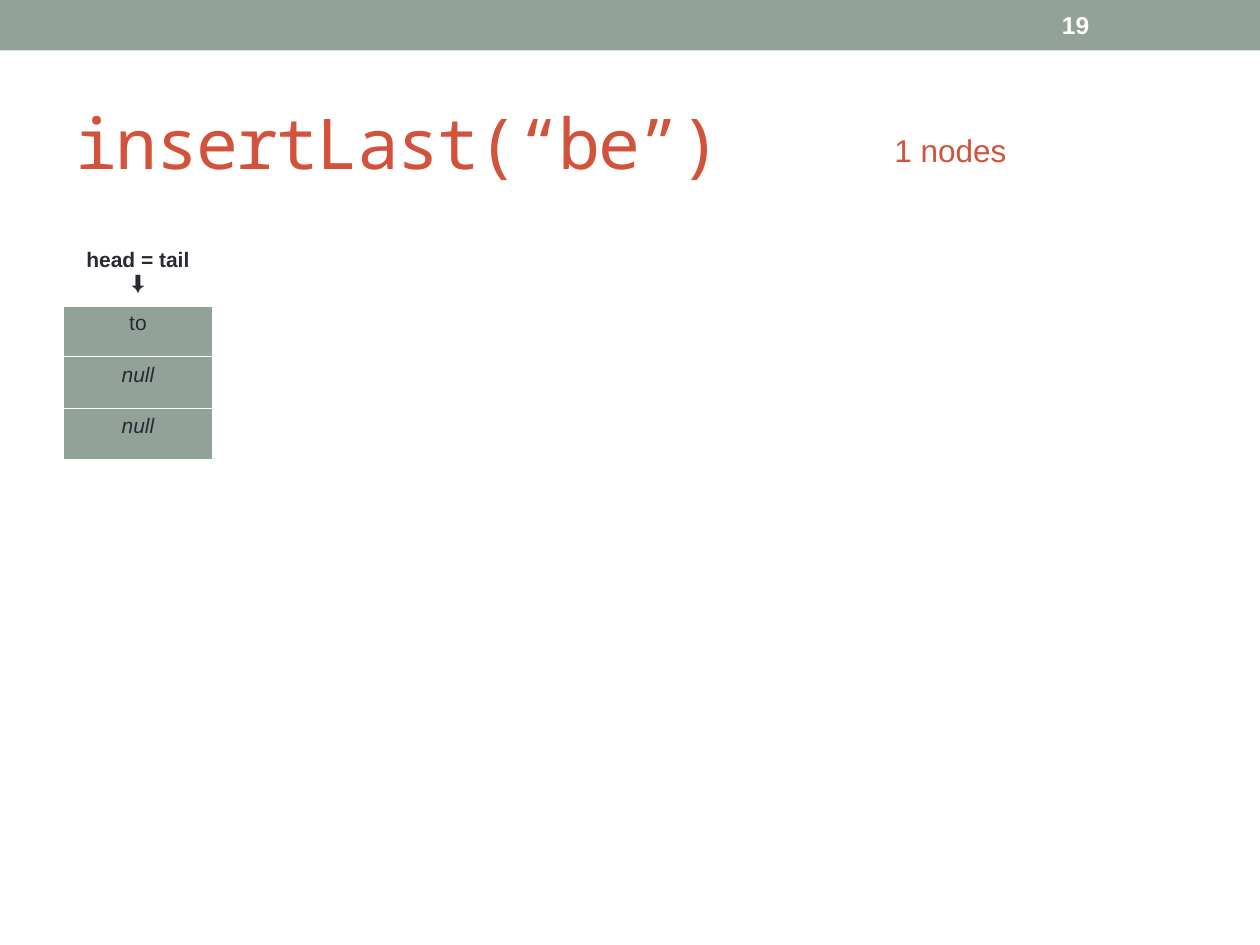
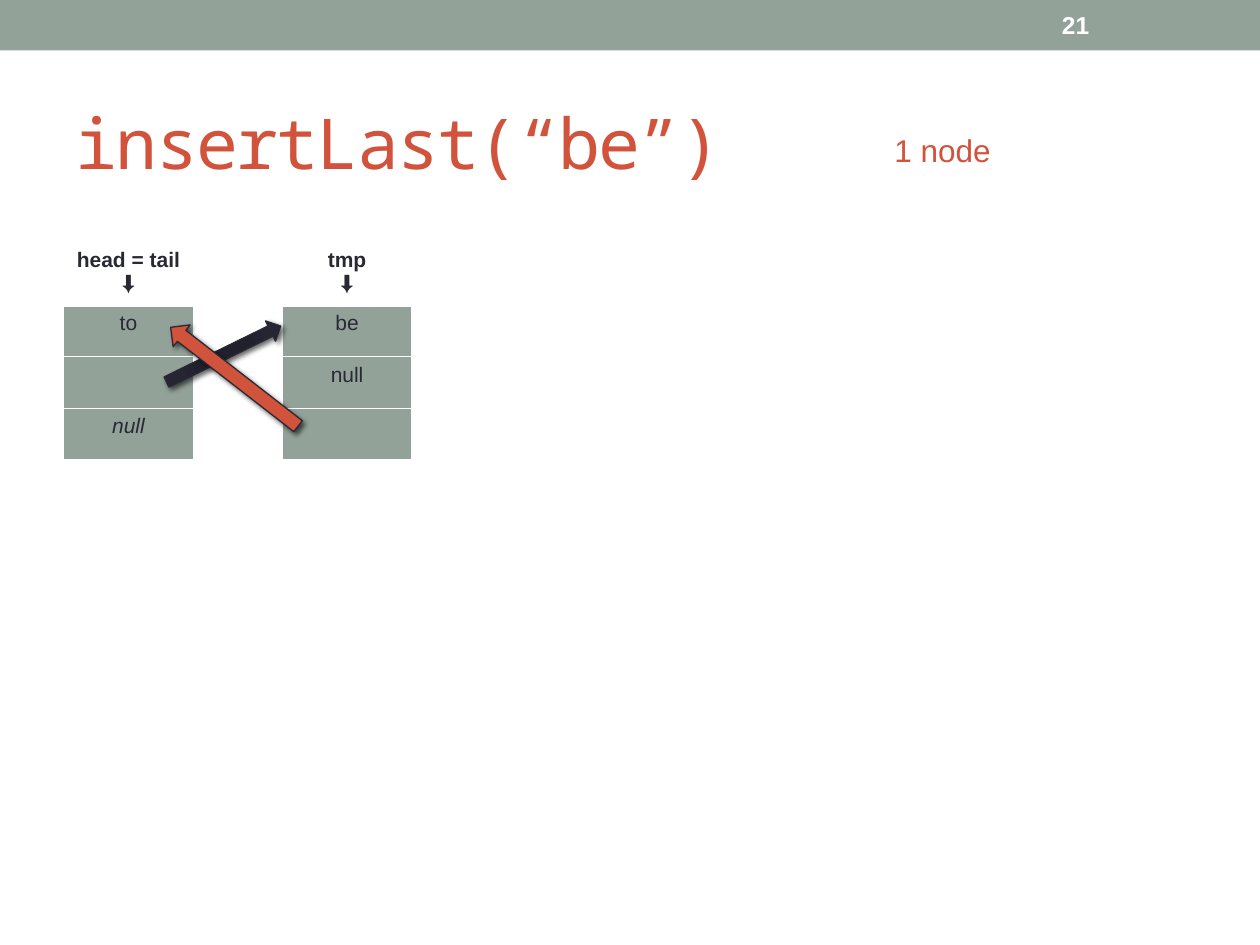
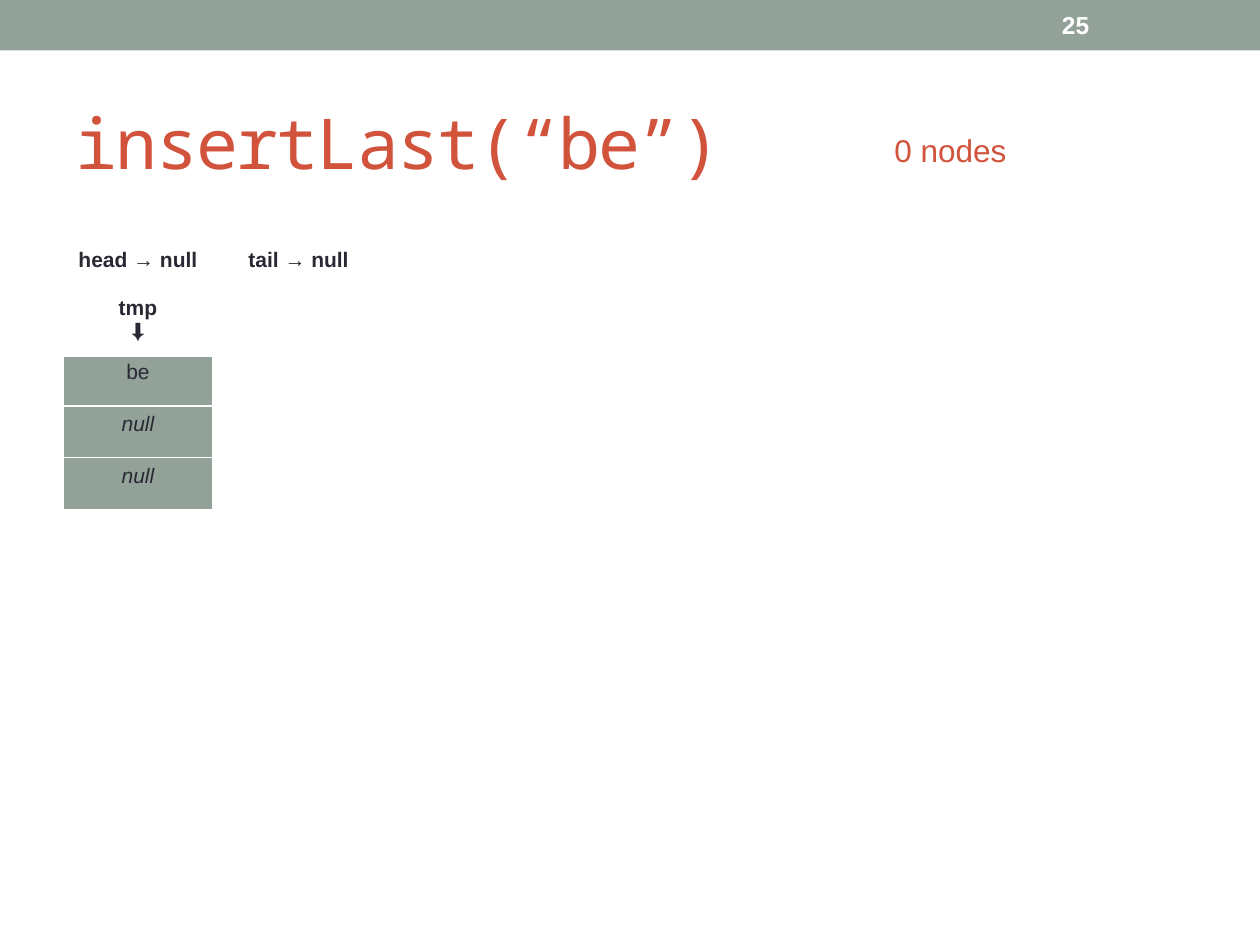
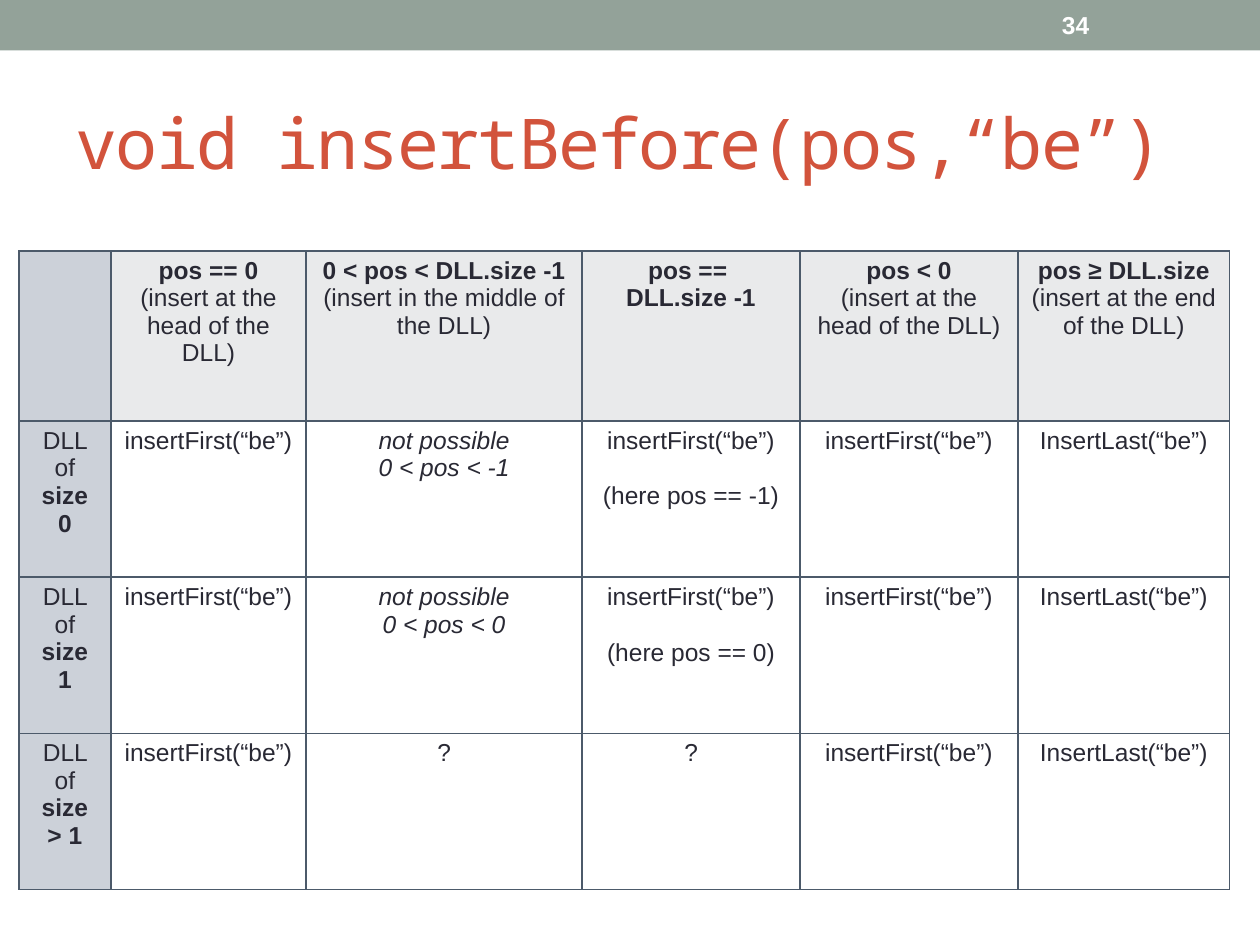
from dataclasses import dataclass

import lxml.etree
import pptx
import pptx.dml.color
import pptx.enum.shapes
import pptx.enum.text
import pptx.oxml
import pptx.oxml.ns
import pptx.util

Inches = pptx.util.Inches
Pt = pptx.util.Pt
ALIGN = pptx.enum.text.PP_ALIGN
FIT = pptx.enum.text.MSO_AUTO_SIZE
qn = pptx.oxml.ns.qn

SAGE, RED, INK, WHITE = "93A299", "D2533C", "292934", "FFFFFF"
GRID, SIDE_FILL, HEAD_FILL = "4C5A6A", "CCD1D9", "E9EAEB"
BODY_FONT, CODE_FONT = "Arial", "Noto Sans Mono"
SPARE_COLUMNS = [0.75] * 8
INK_GRADIENT = [(0, "21212F"), (34, "21212E"), (70, "252534"), (100, INK)]


@dataclass
class Line:
    """One paragraph; bold_end is a bold run after the text, gap is space before in points."""
    text: str
    bold: bool = False
    italic: bool = False
    bold_end: str = ""
    gap: float = 0


def rgb(color):
    return pptx.dml.color.RGBColor.from_string(color)


def format_font(font, color, **values):
    for name, value in values.items():
        setattr(font, name, value)
    font.color.rgb = rgb(color)


def write_lines(frame, lines, size, color=INK, align=ALIGN.CENTER):
    for index, line in enumerate(lines):
        paragraph = frame.add_paragraph() if index else frame.paragraphs[0]
        paragraph.alignment = align
        if line.gap:
            paragraph.space_before = Pt(line.gap)
        for text, bold in ((line.text, line.bold), (line.bold_end, True)):
            if text:
                run = paragraph.add_run()
                run.text = text
                format_font(run.font, color, name=BODY_FONT, size=Pt(size),
                            bold=bold, italic=line.italic)


def add_label(slide, box, line, size, color, **frame_format):
    frame = slide.shapes.add_textbox(*map(Inches, box)).text_frame
    for name, value in frame_format.items():
        setattr(frame, name, value)
    write_lines(frame, [line], size, color, ALIGN.LEFT)


def add_band(layout, slide):
    """Draw the top band and move it to the layout that all slides share."""
    band = slide.shapes.add_shape(pptx.enum.shapes.MSO_SHAPE.RECTANGLE,
                                  0, 0, Inches(10), Inches(0.4))
    band.shadow.inherit = False
    band.fill.solid()
    band.fill.fore_color.rgb = rgb(SAGE)
    band.line.fill.background()
    layout.shapes.element.insert(2, band.element)


def add_slide(deck, title, number):
    layout = deck.slide_layouts[5]
    slide = deck.slides.add_slide(layout)
    if len(deck.slides) == 1:
        add_band(layout, slide)
    heading = slide.shapes.title
    heading.left, heading.top, heading.width, heading.height = map(
        Inches, (0.5, 0.58, 9, 1.08))
    frame = heading.text_frame
    frame.auto_size = FIT.NONE
    frame.vertical_anchor = pptx.enum.text.MSO_ANCHOR.MIDDLE
    frame.paragraphs[0].alignment = ALIGN.LEFT
    run = frame.paragraphs[0].add_run()
    run.text = title
    format_font(run.font, RED, name=CODE_FONT, size=Pt(40))
    run.font._element.set("spc", "-100")
    add_label(slide, (8.33, 0.02, 1.17, 0.36), Line(number, bold=True), 14, WHITE,
              word_wrap=True, vertical_anchor=pptx.enum.text.MSO_ANCHOR.MIDDLE)
    return slide


def add_node_count(slide, text, width):
    add_label(slide, (7, 0.99, width, 0.4), Line(text), 18, RED,
              word_wrap=False, auto_size=FIT.SHAPE_TO_FIT_TEXT)


def set_borders(cell, color, bottom=1):
    properties = cell._tc.get_or_add_tcPr()
    for side, width in {"L": 1, "R": 1, "T": 1, "B": bottom}.items():
        border = lxml.etree.SubElement(properties, qn(f"a:ln{side}"), w=str(Pt(width)))
        fill = lxml.etree.SubElement(border, qn("a:solidFill"))
        lxml.etree.SubElement(fill, qn("a:srgbClr"), val=color)


def set_fill(cell, color):
    if color:
        cell.fill.solid()
        cell.fill.fore_color.rgb = rgb(color)
    else:
        cell.fill.background()


def add_grid(slide, left, top, widths, heights):
    table = slide.shapes.add_table(
        len(heights), len(widths), *map(Inches, (left, top, sum(widths), sum(heights)))).table
    table.first_row = table.horz_banding = False
    for column, width in zip(table.columns, widths):
        column.width = Inches(width)
    for row, height in zip(table.rows, heights):
        row.height = Inches(height)
    return table


def add_node_table(slide, widths, headings, nodes):
    """Draw list nodes; headings and nodes map a column to its label and its three fields."""
    table = add_grid(slide, 0.5, 1.92, widths + SPARE_COLUMNS, [0.41] * 4)
    last_column = len(table.columns) - 1
    for column in range(last_column + 1):
        heading = table.cell(0, column)
        set_borders(heading, WHITE, bottom=3)
        set_fill(heading, None)
        write_lines(heading.text_frame, headings.get(column, []), 12)
        fields = nodes.get(column, [None] * 3)
        blank = None if column == last_column else WHITE
        for row, field in enumerate(fields, 1):
            cell = table.cell(row, column)
            set_borders(cell, WHITE)
            set_fill(cell, SAGE if column in nodes else blank)
            if field:
                write_lines(cell.text_frame, [field], 12)


def add_case_table(slide, rows):
    table = add_grid(slide, 0.15, 1.99, [0.73, 1.55, 2.19, 1.73, 1.73, 1.68],
                     [1.35, 1.24, 1.24, 1.24])
    for row, cases in enumerate(rows):
        for column, lines in enumerate(cases):
            cell = table.cell(row, column)
            set_borders(cell, GRID)
            set_fill(cell, SIDE_FILL if column == 0 else WHITE if row else HEAD_FILL)
            write_lines(cell.text_frame, lines, 14)


def add_link_arrow(slide, box, rotation, color, gradient=None):
    arrow = slide.shapes.add_shape(pptx.enum.shapes.MSO_SHAPE.RIGHT_ARROW, *map(Inches, box))
    arrow.rotation = rotation
    arrow.fill.solid()
    arrow.fill.fore_color.rgb = rgb(color)
    arrow.line.color.rgb = rgb(INK)
    arrow.line.width = Pt(0.75)
    arrow.shadow.inherit = False
    namespace = pptx.oxml.ns.nsdecls("a")
    properties = arrow.element.spPr
    properties.find(qn("a:effectLst")).append(pptx.oxml.parse_xml(
        f'<a:outerShdw {namespace} blurRad="{Pt(3)}" dist="{Pt(2)}" dir="2700000">'
        '<a:srgbClr val="000000"><a:alpha val="60000"/></a:srgbClr></a:outerShdw>'))
    if gradient:
        stops = "".join(f'<a:gs pos="{place * 1000}"><a:srgbClr val="{stop}"/></a:gs>'
                        for place, stop in gradient)
        properties.replace(properties.find(qn("a:solidFill")), pptx.oxml.parse_xml(
            f'<a:gradFill {namespace} rotWithShape="1"><a:gsLst>{stops}</a:gsLst>'
            '<a:path path="circle"><a:fillToRect l="100000" t="100000" r="100000" b="100000"/>'
            '</a:path></a:gradFill>'))


def pointer(name, gap=0):
    return [Line(name, bold=True, gap=gap), Line("⬇", bold=True)]


def size_row(size, middle, at_end):
    first, last = [Line("insertFirst(“be”)")], [Line("InsertLast(“be”)")]
    return [[Line("DLL of ", bold_end=size)], first, middle, at_end, first, last]


def impossible(condition):
    return [Line("not possible", italic=True), Line(condition, italic=True)]


def insert_first_here(position):
    return [Line("insertFirst(“be”)"), Line(f"(here pos == {position})", gap=16)]


def main():
    deck = pptx.Presentation()
    deck.slide_width, deck.slide_height = Inches(10), Inches(7.5)
    insert_last = "insertLast(“be”)"
    null = Line("null", italic=True)
    single_widths = [1.19, 1.36, 0.23, 0.23]

    one_node = add_slide(deck, insert_last, "19")
    add_node_table(one_node, single_widths, {0: pointer("head = tail")},
                   {0: [Line("to"), null, null]})
    add_node_count(one_node, "1 nodes", 1.1)

    linking = add_slide(deck, insert_last, "21")
    add_node_table(linking, [1.04, 0.7, 1.03, 0.23],
                   {0: pointer("head = tail"), 2: pointer("tmp")},
                   {0: [Line("to"), None, null], 2: [Line("be"), Line("null"), None]})
    add_node_count(linking, "1 node", 0.97)
    add_link_arrow(linking, (1.27, 2.72, 1.01, 0.18), 333.9, INK, INK_GRADIENT)
    add_link_arrow(linking, (1.22, 2.88, 1.28, 0.22), 217.8, RED)

    empty_list = add_slide(deck, insert_last, "25")
    add_node_table(empty_list, single_widths,
                   {0: [Line("head → null", bold=True)] + pointer("tmp", gap=13.8),
                    1: [Line("tail → null", bold=True)]},
                   {0: [Line("be"), null, null]})
    add_node_count(empty_list, "0 nodes", 1.1)

    cases = add_slide(deck, "void insertBefore(pos,“be”)", "34")
    at_head = Line("(insert at the head of the DLL)")
    unknown = [Line("?")]
    add_case_table(cases, [
        [[],
         [Line("pos == 0", bold=True), at_head],
         [Line("0 < pos < DLL.size -1", bold=True), Line("(insert in the middle of the DLL)")],
         [Line("pos == ", bold=True), Line("DLL.size -1", bold=True)],
         [Line("pos < 0", bold=True), at_head],
         [Line("pos ≥ DLL.size", bold=True), Line("(insert at the end of the DLL)")]],
        size_row("size 0", impossible("0 < pos < -1"), insert_first_here(-1)),
        size_row("size 1", impossible("0 < pos < 0"), insert_first_here(0)),
        size_row("size > 1", unknown, unknown),
    ])
    deck.save("out.pptx")


if __name__ == "__main__":
    main()
